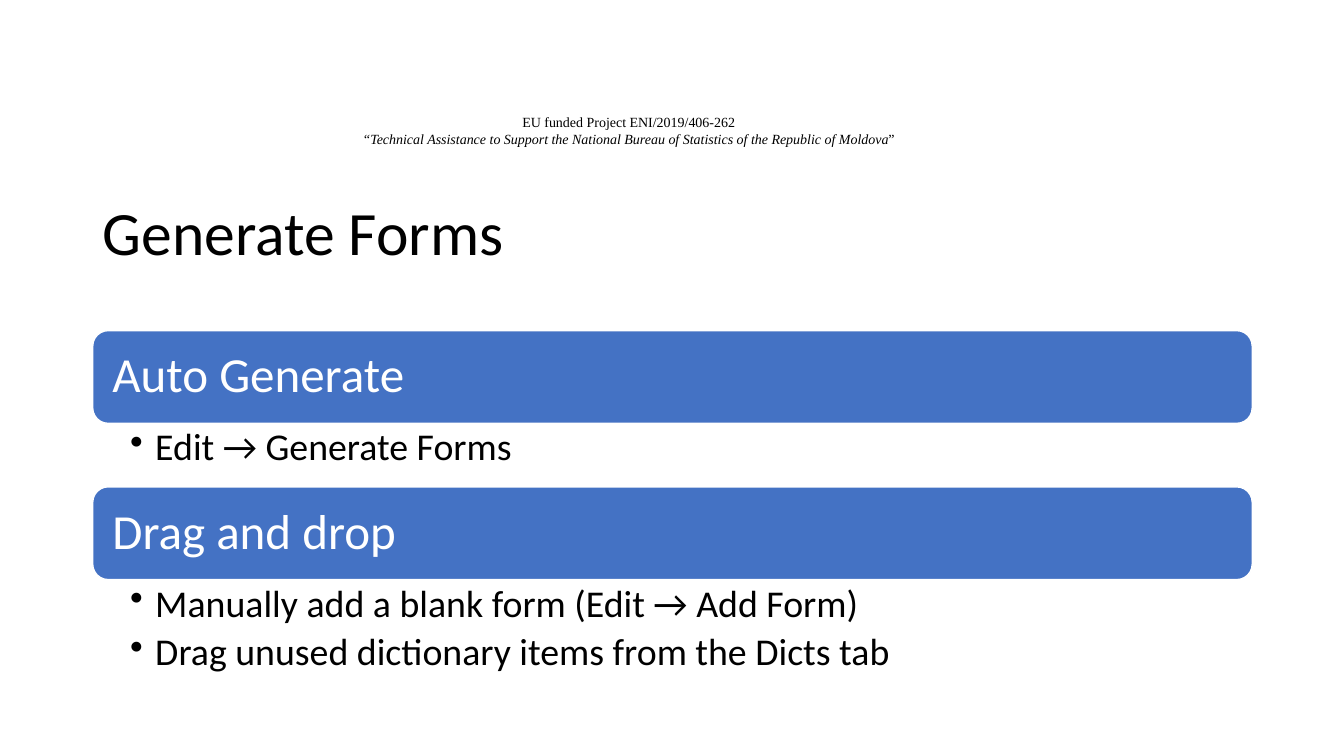
from pptx import Presentation
from pptx.dml.color import RGBColor
from pptx.enum.shapes import MSO_SHAPE
from pptx.enum.text import MSO_ANCHOR, PP_ALIGN
from pptx.oxml.ns import qn
from pptx.util import Inches, Pt
from lxml import etree

# Content
PROJECT_LINES = [
    [("EU funded Project ENI/2019/406-262", False)],
    [("“Technical Assistance to Support the National Bureau of Statistics "
      "of the Republic of Moldova", True), ("”", False)],
]
TITLE = "Generate Forms"
SECTIONS = [
    ("Auto Generate", ["Edit → Generate Forms"], 0.63),
    ("Drag and drop", ["Manually add a blank form (Edit → Add Form)",
                       "Drag unused dictionary items from the Dicts tab"], 1.03),
]

# Style and layout
COLORS = {"text": "000000", "bar": "4472C4", "light": "FFFFFF"}
LEFT, WIDTH = 0.92, 11.5
SECTIONS_TOP, BAR_HEIGHT = 3.28, 0.92
BULLET_INDENT = 0.25


def color(name):
    return RGBColor.from_string(COLORS[name])


def format_frame(frame, margins, anchor):
    values = {"word_wrap": True, "vertical_anchor": anchor}
    sides = ("left", "top", "right", "bottom")
    values.update({f"margin_{side}": Inches(margin) for side, margin in zip(sides, margins)})
    for name, value in values.items():
        setattr(frame, name, value)


def format_para(para, **values):
    for name, value in values.items():
        setattr(para, name, value)


def add_span(para, text, size, color_name, font="Calibri", italic=False):
    span = para.add_run()
    span.text = text
    for name, value in {"size": Pt(size), "name": font, "italic": italic}.items():
        setattr(span.font, name, value)
    span.font.color.rgb = color(color_name)


def add_paras(frame, count):
    return [frame.paragraphs[0]] + [frame.add_paragraph() for _ in range(count - 1)]


def add_bullet(para):
    props = para._p.get_or_add_pPr()
    props.set("marL", str(Inches(BULLET_INDENT)))
    props.set("indent", str(-Inches(BULLET_INDENT)))
    etree.SubElement(props, qn("a:buChar")).set("char", "•")


def add_header(page):
    box = page.shapes.add_textbox(Inches(2.9), Inches(1.08), Inches(6.67), Inches(0.44))
    frame = box.text_frame
    format_frame(frame, (0.1, 0.05, 0.1, 0.05), MSO_ANCHOR.TOP)
    for para, spans in zip(add_paras(frame, len(PROJECT_LINES)), PROJECT_LINES):
        format_para(para, alignment=PP_ALIGN.CENTER)
        for text, italic in spans:
            add_span(para, text, 10, "text", "Times New Roman", italic)


def add_title(page):
    title = page.shapes.title
    place = {"left": LEFT, "top": 1.61, "width": WIDTH, "height": 1.45}
    for name, value in place.items():
        setattr(title, name, Inches(value))
    format_frame(title.text_frame, (0.1, 0.05, 0.1, 0.05), MSO_ANCHOR.MIDDLE)
    para = title.text_frame.paragraphs[0]
    format_para(para, alignment=PP_ALIGN.LEFT, line_spacing=0.9)
    add_span(para, TITLE, 44, "text")


def add_bar(page, top, heading):
    bar = page.shapes.add_shape(MSO_SHAPE.ROUNDED_RECTANGLE, Inches(LEFT), Inches(top),
                                Inches(WIDTH), Inches(BAR_HEIGHT))
    bar.shadow.inherit = False
    bar.fill.solid()
    bar.fill.fore_color.rgb = color("bar")
    bar.line.color.rgb = color("light")
    bar.line.width = Pt(1)
    # The rounded corners already inset the text by about 0.04
    format_frame(bar.text_frame, (0.15, 0.1, 0.15, 0.1), MSO_ANCHOR.MIDDLE)
    para = bar.text_frame.paragraphs[0]
    format_para(para, alignment=PP_ALIGN.LEFT, line_spacing=0.9)
    add_span(para, heading, 35, "light")


def add_bullets(page, top, height, items):
    box = page.shapes.add_textbox(Inches(LEFT), Inches(top), Inches(WIDTH), Inches(height))
    format_frame(box.text_frame, (0.37, 0.05, 0.27, 0.05), MSO_ANCHOR.TOP)
    for para, item in zip(add_paras(box.text_frame, len(items)), items):
        format_para(para, line_spacing=0.9, space_after=Pt(5.4))
        add_bullet(para)
        add_span(para, item, 27, "text")


def main():
    deck = Presentation()
    deck.slide_width, deck.slide_height = Inches(13.33), Inches(7.5)
    page = deck.slides.add_slide(deck.slide_layouts[5])
    add_header(page)
    add_title(page)

    # Each bar is followed directly by its bullets
    top = SECTIONS_TOP
    for heading, items, height in SECTIONS:
        add_bar(page, top, heading)
        add_bullets(page, top + BAR_HEIGHT, height, items)
        top += BAR_HEIGHT + height
    deck.save("out.pptx")


if __name__ == "__main__":
    main()
